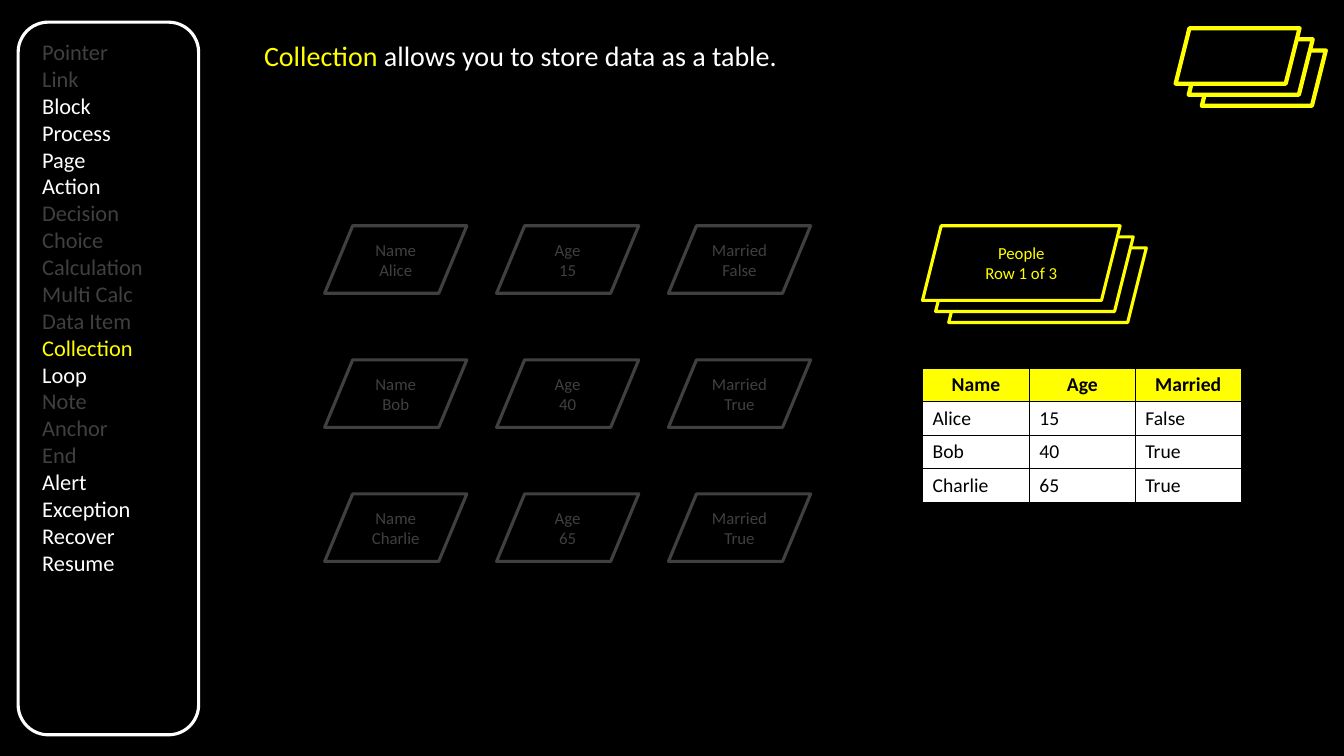
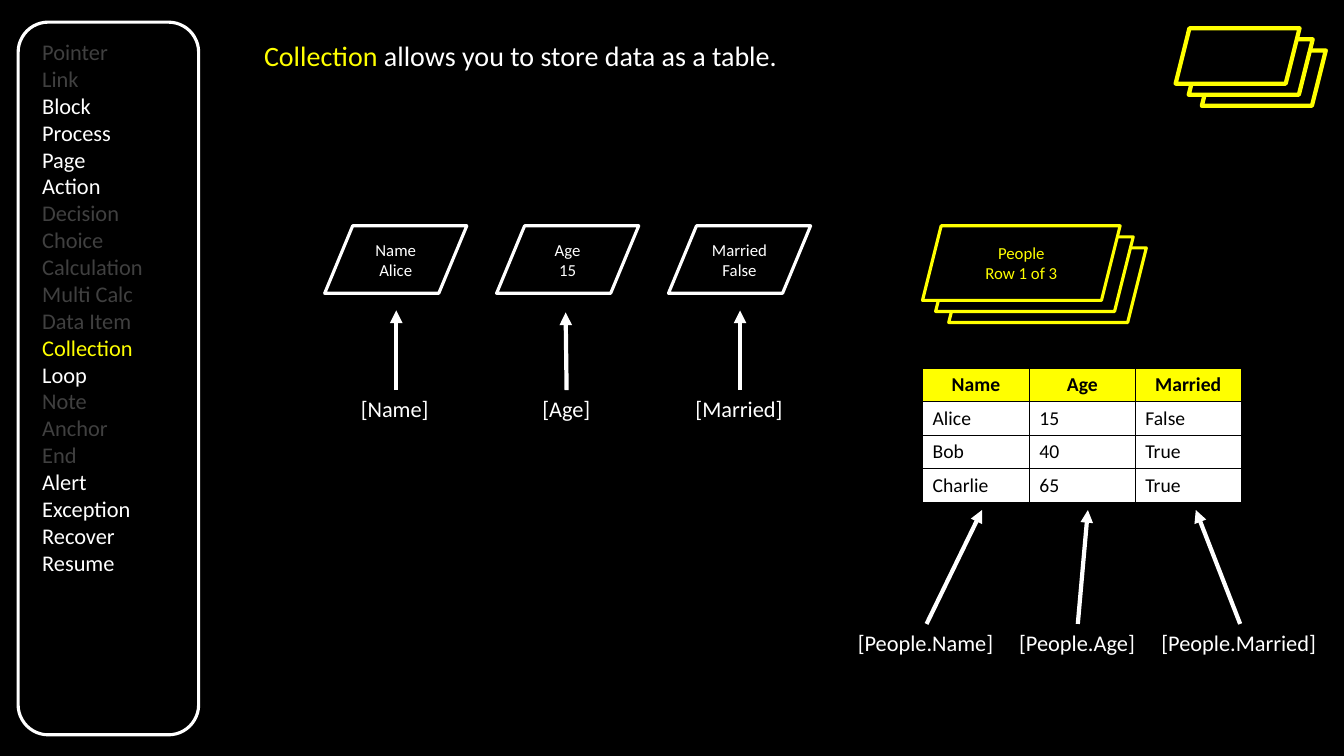
from lxml import etree
from pptx import Presentation
from pptx.dml.color import RGBColor
from pptx.enum import shapes as es, text as et
from pptx.oxml.ns import qn
from pptx.util import Inches, Pt

BLACK = RGBColor(0, 0, 0)
WHITE = RGBColor(255, 255, 255)
GRAY = RGBColor(0x40, 0x40, 0x40)
YELLOW = RGBColor(255, 255, 0)
FONT = "Calibri"
CENTER = et.PP_ALIGN.CENTER
SLANT = es.MSO_SHAPE.PARALLELOGRAM

MENU = [
    (GRAY, ["Pointer", "Link"]),
    (WHITE, ["Block", "Process", "Page", "Action"]),
    (GRAY, ["Decision", "Choice", "Calculation", "Multi Calc", "Data Item"]),
    (YELLOW, ["Collection"]),
    (WHITE, ["Loop"]),
    (GRAY, ["Note", "Anchor", "End"]),
    (WHITE, ["Alert", "Exception", "Recover", "Resume"]),
]
TITLE = [("Collection", YELLOW), (" allows you to store data as a table.", WHITE)]
HEAD = ["Name", "Age", "Married"]
PEOPLE = [["Alice", "15", "False"], ["Bob", "40", "True"], ["Charlie", "65", "True"]]

# label, left, top, width, arrow start, arrow end
FIELDS = [
    ("[Name]", 3.48, 3.87, 0.88, (3.93, 3.87), (3.93, 3.08)),
    ("[Age]", 5.28, 3.87, 0.68, (5.62, 3.87), (5.61, 3.1)),
    ("[Married]", 6.8, 3.87, 1.07, (7.34, 3.87), (7.34, 3.08)),
    ("[People.Name]", 8.41, 6.19, 1.56, (9.19, 6.19), (9.74, 5.06)),
    ("[People.Age]", 10.01, 6.19, 1.36, (10.69, 6.19), (10.79, 5.06)),
    ("[People.Married]", 11.42, 6.19, 1.75, (12.3, 6.19), (11.86, 5.06)),
]


def write(frame, lines, size, align=None, bold=False):
    """Fill a text frame; each line is a list of (text, colour) runs."""
    for i, line in enumerate(lines):
        para = frame.paragraphs[0] if i == 0 else frame.add_paragraph()
        para.alignment = align
        for words, color in line:
            run = para.add_run()
            run.text = words
            font = run.font
            font.name, font.size, font.bold = FONT, Pt(size), bold
            font.color.rgb = color


def add_text(slide, box, lines, size, wrap=True):
    frame = slide.shapes.add_textbox(*map(Inches, box)).text_frame
    frame.word_wrap = wrap
    frame.auto_size = et.MSO_AUTO_SIZE.SHAPE_TO_FIT_TEXT
    write(frame, lines, size)


def add_shape(slide, kind, box, color, width=2.25, fill=None, lines=()):
    shape = slide.shapes.add_shape(kind, *map(Inches, box))
    shape.shadow.inherit = False
    if fill is None:
        shape.fill.background()
    else:
        shape.fill.solid()
        shape.fill.fore_color.rgb = fill
    shape.line.color.rgb = color
    shape.line.width = Pt(width)
    frame = shape.text_frame
    frame.vertical_anchor = et.MSO_ANCHOR.MIDDLE
    write(frame, [[(line, color)] for line in lines], 12, CENTER)
    return shape


def add_stack(slide, left, top, wide, high, width, lines=()):
    """Three overlapping cards, the front one at left, top."""
    for step in (2, 1, 0):
        box = left + 0.13 * step, top + 0.11 * step, wide, high
        add_shape(slide, SLANT, box, YELLOW, width,
                  None if step == 2 else BLACK, () if step else lines)


def add_cards(slide, people, color):
    for row, person in enumerate(people):
        for col, pair in enumerate(zip(HEAD, person)):
            box = 3.22 + 1.705 * col, 2.24 + 1.33 * row, 1.41, 0.67
            card = add_shape(slide, SLANT, box, color, lines=pair)
            card.adjustments[0] = 0.415


def add_border(cell):
    props = cell._tc.get_or_add_tcPr()
    for side in ("lnL", "lnR", "lnT", "lnB"):
        line = etree.SubElement(props, qn("a:" + side), w=str(Pt(1)))
        fill = etree.SubElement(line, qn("a:solidFill"))
        etree.SubElement(fill, qn("a:srgbClr"), val=str(BLACK))


def add_table(slide):
    rows = [HEAD] + PEOPLE
    box = map(Inches, (9.15, 3.65, 3.15, 1.33))
    table = slide.shapes.add_table(len(rows), len(HEAD), *box).table
    for col, wide in zip(table.columns, (1.06, 1.05, 1.05)):
        col.width = Inches(wide)
    for r, row in enumerate(rows):
        top = r == 0
        for c, words in enumerate(row):
            cell = table.cell(r, c)
            add_border(cell)
            cell.fill.solid()
            cell.fill.fore_color.rgb = YELLOW if top else WHITE
            write(cell.text_frame, [[(words, BLACK)]], 14,
                  CENTER if top else None, top)


def add_arrow(slide, start, end):
    ends = map(Inches, start + end)
    arrow = slide.shapes.add_connector(es.MSO_CONNECTOR.STRAIGHT, *ends)
    arrow.line.color.rgb = WHITE
    arrow.line.width = Pt(3)
    etree.SubElement(arrow.line._get_or_add_ln(), qn("a:tailEnd"), type="triangle")
    etree.SubElement(arrow._element.spPr, qn("a:effectLst"))


def add_slide(deck, people, color):
    slide = deck.slides.add_slide(deck.slide_layouts[6])
    back = slide.background.fill
    back.solid()
    back.fore_color.rgb = BLACK
    menu = [[(word, tint)] for tint, words in MENU for word in words]
    add_text(slide, (0.32, 0.33, 1.21, 5.49), menu, 16)
    add_shape(slide, es.MSO_SHAPE.ROUNDED_RECTANGLE, (0.18, 0.22, 1.79, 7.07), WHITE)
    add_text(slide, (2.52, 0.33, 8.59, 0.44), [TITLE], 20)
    add_stack(slide, 11.66, 0.28, 1.23, 0.55, 3)
    add_cards(slide, people, color)
    add_table(slide)
    add_stack(slide, 9.15, 2.24, 1.96, 0.74, 2.25, ["People", "Row 1 of 3"])
    return slide


def main():
    deck = Presentation()
    deck.slide_width, deck.slide_height = Inches(13.33), Inches(7.5)
    add_slide(deck, PEOPLE, GRAY)
    slide = add_slide(deck, PEOPLE[:1], WHITE)
    for label, left, top, wide, start, end in FIELDS:
        add_text(slide, (left, top, wide, 0.37), [[(label, WHITE)]], 16, False)
        add_arrow(slide, start, end)
    deck.save("out.pptx")


if __name__ == "__main__":
    main()
